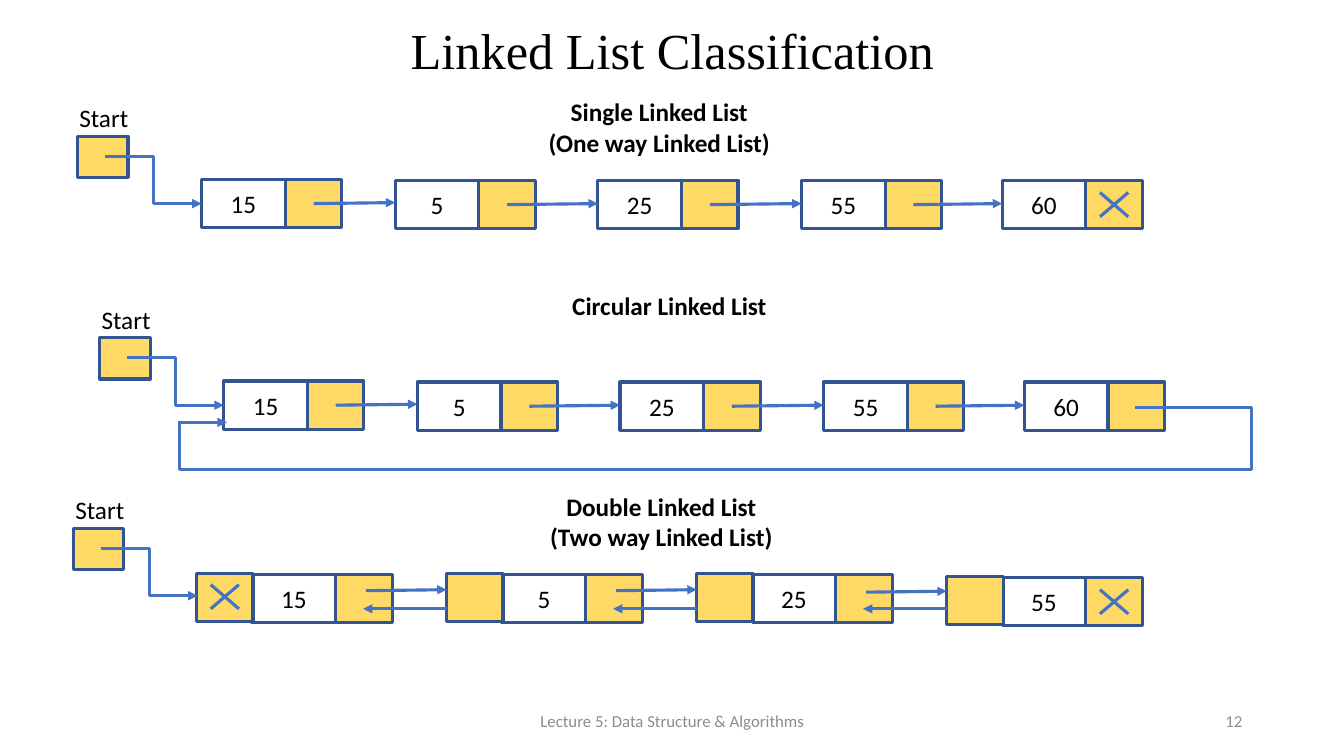
from dataclasses import dataclass

from lxml import etree
from pptx import Presentation
from pptx.dml.color import RGBColor
from pptx.enum.shapes import MSO_CONNECTOR, MSO_SHAPE
from pptx.enum.text import MSO_ANCHOR, MSO_AUTO_SIZE, PP_ALIGN
from pptx.oxml.ns import qn
from pptx.util import Inches, Pt

RECTANGLE = MSO_SHAPE.RECTANGLE
STRAIGHT, ELBOW = MSO_CONNECTOR.STRAIGHT, MSO_CONNECTOR.ELBOW
TOP, MIDDLE, BOTTOM = MSO_ANCHOR.TOP, MSO_ANCHOR.MIDDLE, MSO_ANCHOR.BOTTOM
CENTER, RIGHT = PP_ALIGN.CENTER, PP_ALIGN.RIGHT
NO_AUTOFIT = MSO_AUTO_SIZE.NONE
TITLE_ONLY_LAYOUT = 5


@dataclass(frozen=True)
class Theme:
    title_font: str = "Times New Roman"
    body_font: str = "Calibri"
    title_size: int = 36
    body_size: int = 18
    footer_size: int = 12
    line_width: float = 2.25
    text: str = "000000"
    footer: str = "8C8C8C"
    pointer: str = "FFD966"
    border: str = "325491"
    link: str = "4472C4"


@dataclass(frozen=True)
class Node:
    value: str
    left: float
    top: float


@dataclass(frozen=True)
class TextItem:
    text: str
    left: float
    top: float
    width: float
    height: float
    size: int
    color: str
    bold: bool = False
    align: PP_ALIGN = CENTER
    anchor: MSO_ANCHOR = TOP


THEME = Theme()
VALUE_WIDTH, POINTER_WIDTH, NODE_HEIGHT = 0.83, 0.56, 0.48
PREVIOUS_OFFSET = 0.55
LINK_TILT = 0.01

# Lists: the circular one repeats the single one, moved right and down
SINGLE_NODES = [Node("15", 2, 1.78), Node("5", 3.92, 1.79), Node("25", 5.93, 1.79),
                Node("55", 7.95, 1.79), Node("60", 9.94, 1.79)]
CIRCULAR_NODES = [Node(node.value, node.left + 0.22, node.top + 2) for node in SINGLE_NODES]
DOUBLE_NODES = [Node(value, 2.5 + 2.48 * index, top) for index, (value, top)
                in enumerate([("15", 5.7), ("5", 5.7), ("25", 5.7), ("55", 5.73)])]

TEXT_ITEMS = [
    TextItem("Single Linked List\n(One way Linked List)", 5.31, 0.91, 2.46, 0.71,
             THEME.body_size, THEME.text, bold=True),
    TextItem("Circular Linked List", 5.41, 2.83, 2.46, 0.71,
             THEME.body_size, THEME.text, bold=True),
    TextItem("Double Linked List\n(Two way Linked List)", 5.33, 4.82, 2.46, 0.71,
             THEME.body_size, THEME.text, bold=True),
    TextItem("Lecture 5: Data Structure & Algorithms", 4.42, 6.95, 4.5, 0.4,
             THEME.footer_size, THEME.footer, anchor=MIDDLE),
    TextItem("12", 9.42, 6.95, 3, 0.4, THEME.footer_size, THEME.footer,
             align=RIGHT, anchor=MIDDLE),
]


def format_text(text_frame, font_name: str, size: int, color: str,
                bold: bool = False, align: PP_ALIGN = CENTER) -> None:
    for paragraph in text_frame.paragraphs:
        paragraph.alignment = align
        for run in paragraph.runs:
            run.font.name = font_name
            run.font.size = Pt(size)
            run.font.bold = bold
            run.font.color.rgb = RGBColor.from_string(color)


def add_title(slide, text: str) -> None:
    title = slide.shapes.title
    title.left, title.top = Inches(0.92), Inches(0.74)
    title.width, title.height = Inches(11.5), Inches(0.22)
    text_frame = title.text_frame
    text_frame.text = text
    text_frame.auto_size = NO_AUTOFIT
    text_frame.vertical_anchor = BOTTOM
    text_frame.margin_top, text_frame.margin_bottom = Inches(0), Inches(0.16)
    text_frame.paragraphs[0].line_spacing = 0.9
    format_text(text_frame, THEME.title_font, THEME.title_size, THEME.text)


def add_text(slide, item: TextItem) -> None:
    box = slide.shapes.add_textbox(Inches(item.left), Inches(item.top),
                                   Inches(item.width), Inches(item.height))
    text_frame = box.text_frame
    text_frame.word_wrap = True
    text_frame.vertical_anchor = item.anchor
    text_frame.text = item.text
    format_text(text_frame, THEME.body_font, item.size, item.color, item.bold, item.align)


def add_box(slide, left: float, top: float, width: float,
            height: float = NODE_HEIGHT, value: str = "") -> None:
    """Draw a white value cell, or a filled pointer cell when there is no value."""
    box = slide.shapes.add_shape(RECTANGLE, Inches(left), Inches(top),
                                 Inches(width), Inches(height))
    box.shadow.inherit = False
    box.line.color.rgb = RGBColor.from_string(THEME.border)
    box.line.width = Pt(THEME.line_width)
    if value:
        box.fill.background()
        box.text_frame.text = value
        box.text_frame.vertical_anchor = MIDDLE
        format_text(box.text_frame, THEME.body_font, THEME.body_size, THEME.text)
    else:
        box.fill.solid()
        box.fill.fore_color.rgb = RGBColor.from_string(THEME.pointer)


def add_link(slide, start: tuple[float, float], end: tuple[float, float],
             kind: MSO_CONNECTOR = STRAIGHT, arrow: bool = True,
             bend: int | None = None) -> None:
    """Draw a connector; bend is the turning point in percent of its width."""
    link = slide.shapes.add_connector(kind, *(Inches(value) for value in (*start, *end)))
    link.line.color.rgb = RGBColor.from_string(THEME.link)
    link.line.width = Pt(THEME.line_width)
    properties = link._element.spPr
    if arrow:
        etree.SubElement(properties.find(qn("a:ln")), qn("a:tailEnd"), type="triangle")
    etree.SubElement(properties, qn("a:effectLst"))
    if bend is not None:
        adjustments = properties.find(qn("a:prstGeom")).find(qn("a:avLst"))
        etree.SubElement(adjustments, qn("a:gd"), name="adj1", fmla=f"val {bend * 1000}")


def add_cross(slide, cell_left: float, cell_top: float) -> None:
    left, top = cell_left + 0.14, cell_top + 0.12
    right, bottom = left + 0.28, top + 0.24
    add_link(slide, (left, top), (right, bottom), arrow=False)
    add_link(slide, (right, top), (left, bottom), arrow=False)


def add_start(slide, left: float, top: float) -> None:
    add_box(slide, left, top, 0.5, 0.41)
    add_text(slide, TextItem("Start", left - 0.22, top - 0.38, 0.96, 0.4,
                             THEME.body_size, THEME.text))
    add_link(slide, (left + 0.27, top + 0.2), (left + 1.23, top + 0.67), ELBOW)


def add_nodes(slide, nodes: list[Node]) -> None:
    for node in nodes:
        add_box(slide, node.left, node.top, VALUE_WIDTH, value=node.value)
        add_box(slide, node.left + VALUE_WIDTH, node.top, POINTER_WIDTH)


def add_one_way_links(slide, nodes: list[Node]) -> None:
    for node, following in zip(nodes, nodes[1:]):
        level = node.top + NODE_HEIGHT / 2
        add_link(slide, (node.left + VALUE_WIDTH + POINTER_WIDTH / 2, level),
                 (following.left, level - LINK_TILT))


def add_two_way_links(slide, nodes: list[Node]) -> None:
    for node, following in zip(nodes, nodes[1:]):
        level = (node.top + following.top) / 2 + 0.16
        previous_left = following.left - PREVIOUS_OFFSET
        add_link(slide, (node.left + 1.13, level), (previous_left, level - LINK_TILT))
        add_link(slide, (previous_left, 6.04), (node.left + 1.1, 6.04))


def main() -> None:
    presentation = Presentation()
    presentation.slide_width, presentation.slide_height = Inches(13.33), Inches(7.5)
    slide = presentation.slides.add_slide(presentation.slide_layouts[TITLE_ONLY_LAYOUT])
    add_title(slide, "Linked List Classification")
    for item in TEXT_ITEMS:
        add_text(slide, item)

    # Single and circular lists
    for nodes in (SINGLE_NODES, CIRCULAR_NODES):
        add_nodes(slide, nodes)
        add_one_way_links(slide, nodes)
        add_start(slide, nodes[0].left - 1.23, nodes[0].top - 0.43)
    add_cross(slide, SINGLE_NODES[-1].left + VALUE_WIDTH, SINGLE_NODES[-1].top)

    # Way back from the last circular node to the first
    add_link(slide, (11.26, 4.04), (12.41, 4.66), ELBOW, arrow=False, bend=100)
    add_link(slide, (1.78, 4.19), (12.42, 4.66), ELBOW, arrow=False, bend=0)
    add_link(slide, (1.77, 4.19), (2.25, 4.19))

    # Double list
    add_nodes(slide, DOUBLE_NODES)
    for node in DOUBLE_NODES:
        add_box(slide, node.left - PREVIOUS_OFFSET, node.top - 0.01, POINTER_WIDTH)
    add_two_way_links(slide, DOUBLE_NODES)
    add_start(slide, 0.73, 5.24)
    first, last = DOUBLE_NODES[0], DOUBLE_NODES[-1]
    add_cross(slide, first.left - PREVIOUS_OFFSET, first.top - 0.02)
    add_cross(slide, last.left + VALUE_WIDTH, last.top)

    presentation.save("out.pptx")


if __name__ == "__main__":
    main()
